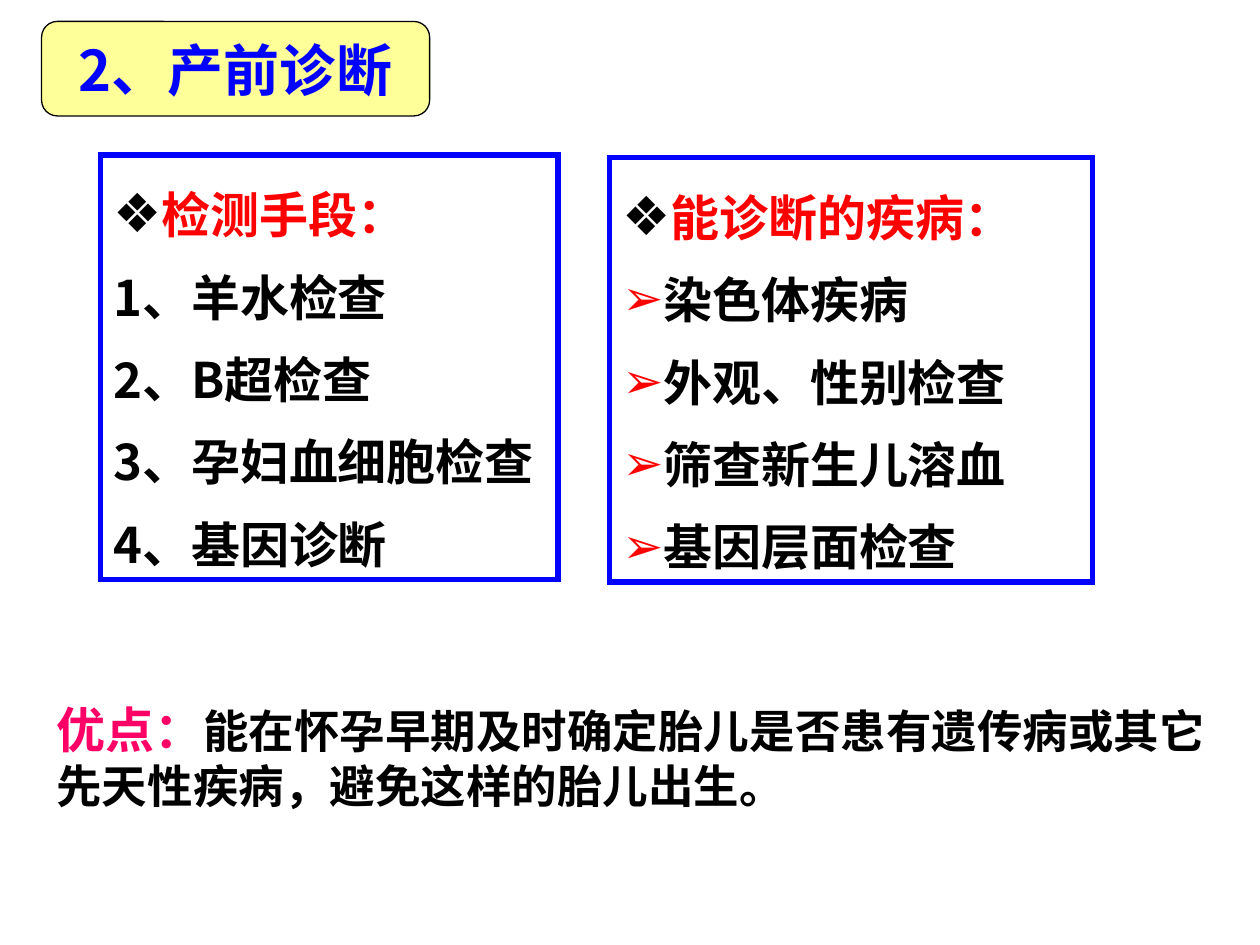
import dataclasses

import lxml.etree
import pptx
import pptx.dml.color
import pptx.enum.shapes
import pptx.enum.text
import pptx.oxml.ns
import pptx.util

Inches = pptx.util.Inches
RGB = pptx.dml.color.RGBColor.from_string
qn = pptx.oxml.ns.qn


@dataclasses.dataclass(frozen=True)
class Theme:
    font: str = "Noto Sans CJK SC"
    blue: str = "0000FF"
    yellow: str = "FFFF99"
    red: str = "FF0000"
    pink: str = "FF0066"
    black: str = "000000"
    title_size: int = 32
    list_size: int = 28
    note_size: int = 26
    list_spacing: float = 1.4


@dataclasses.dataclass(frozen=True)
class Bullet:
    character: str
    color: str
    percent: int = 100


@dataclasses.dataclass(frozen=True)
class Panel:
    placeholder: int
    area: tuple[float, float, float, float]
    heading: str
    items: tuple[str, ...]
    item_bullet: Bullet | None
    wrap: bool


THEME = Theme()
TITLE_AREA = (0.33, 0.17, 3.08, 0.75)
HEADING_BULLET = Bullet("❖", THEME.black, 110)
PANELS = (
    Panel(1, (0.8, 1.23, 3.63, 3.37), "检测手段：",
          ("1、羊水检查", "2、B超检查", "3、孕妇血细胞检查", "4、基因诊断"),
          None, False),
    Panel(2, (4.84, 1.25, 3.83, 3.37), "能诊断的疾病：",
          ("染色体疾病", "外观、性别检查", "筛查新生儿溶血", "基因层面检查"),
          Bullet("➢", THEME.red), True),
)


def place(shape, area: tuple[float, float, float, float]) -> None:
    shape.left, shape.top, shape.width, shape.height = map(Inches, area)


def outline(shape, color: str, width: float) -> None:
    shape.line.color.rgb = RGB(color)
    shape.line.width = pptx.util.Pt(width)
    # Sharp corners
    line = shape._element.spPr.find(qn("a:ln"))
    lxml.etree.SubElement(line, qn("a:miter"), lim="800000")


def add_span(para, text: str, size: int, color: str) -> None:
    span = para.add_run()
    span.text = text
    span.font.size = pptx.util.Pt(size)
    span.font.bold = True
    span.font.color.rgb = RGB(color)
    span.font.name = THEME.font
    # East Asian characters take their own typeface
    lxml.etree.SubElement(span.font._element, qn("a:ea"), typeface=THEME.font)


def set_bullet(para, bullet: Bullet | None) -> None:
    properties = para._p.get_or_add_pPr()
    properties.set("marL", "0")
    properties.set("indent", "0")
    if bullet is None:
        lxml.etree.SubElement(properties, qn("a:buNone"))
        return
    color = lxml.etree.SubElement(properties, qn("a:buClr"))
    lxml.etree.SubElement(color, qn("a:srgbClr"), val=bullet.color)
    lxml.etree.SubElement(properties, qn("a:buSzPct"), val=str(bullet.percent * 1000))
    lxml.etree.SubElement(properties, qn("a:buChar"), char=bullet.character)


def draw_title(page) -> None:
    # Rounded plate, moved behind the title text
    plate = page.shapes.add_shape(
        pptx.enum.shapes.MSO_SHAPE.FLOWCHART_ALTERNATE_PROCESS,
        *map(Inches, TITLE_AREA))
    plate.shadow.inherit = False
    plate.fill.solid()
    plate.fill.fore_color.rgb = RGB(THEME.yellow)
    outline(plate, THEME.black, 0.75)
    box = page.shapes.title
    box._element.addprevious(plate._element)

    place(box, TITLE_AREA)
    frame = box.text_frame
    frame.word_wrap = False
    frame.auto_size = pptx.enum.text.MSO_AUTO_SIZE.NONE
    frame.vertical_anchor = pptx.enum.text.MSO_ANCHOR.MIDDLE
    para = frame.paragraphs[0]
    para.alignment = pptx.enum.text.PP_ALIGN.CENTER
    add_span(para, "2、产前诊断", THEME.title_size, THEME.blue)


def draw_panel(page, panel: Panel) -> None:
    box = page.placeholders[panel.placeholder]
    place(box, panel.area)
    outline(box, THEME.blue, 3)
    frame = box.text_frame
    frame.word_wrap = panel.wrap
    # Fixed height keeps the lower border below the last line
    frame.auto_size = pptx.enum.text.MSO_AUTO_SIZE.NONE
    frame.vertical_anchor = pptx.enum.text.MSO_ANCHOR.TOP
    rows = [(panel.heading, THEME.red, HEADING_BULLET)]
    rows += [(item, THEME.black, panel.item_bullet) for item in panel.items]
    for number, (text, color, bullet) in enumerate(rows):
        para = frame.add_paragraph() if number else frame.paragraphs[0]
        set_bullet(para, bullet)
        para.line_spacing = THEME.list_spacing
        para.space_before = pptx.util.Pt(0)
        add_span(para, text, THEME.list_size, color)


def draw_advantage(page) -> None:
    box = page.shapes.add_textbox(*map(Inches, (0.35, 5.5, 9.65, 1)))
    frame = box.text_frame
    frame.word_wrap = True
    frame.auto_size = pptx.enum.text.MSO_AUTO_SIZE.SHAPE_TO_FIT_TEXT
    para = frame.paragraphs[0]
    add_span(para, "优点：", THEME.list_size, THEME.pink)
    add_span(para, "能在怀孕早期及时确定胎儿是否患有遗传病或其它先天性疾病，避免这样的胎儿出生。",
             THEME.note_size, THEME.black)


def main() -> None:
    deck = pptx.Presentation()
    deck.slide_width, deck.slide_height = Inches(10), Inches(7.5)
    # Layout with a title and two lists
    page = deck.slides.add_slide(deck.slide_layouts[3])
    draw_title(page)
    for panel in PANELS:
        draw_panel(page, panel)
    draw_advantage(page)
    deck.save("out.pptx")


if __name__ == "__main__":
    main()
